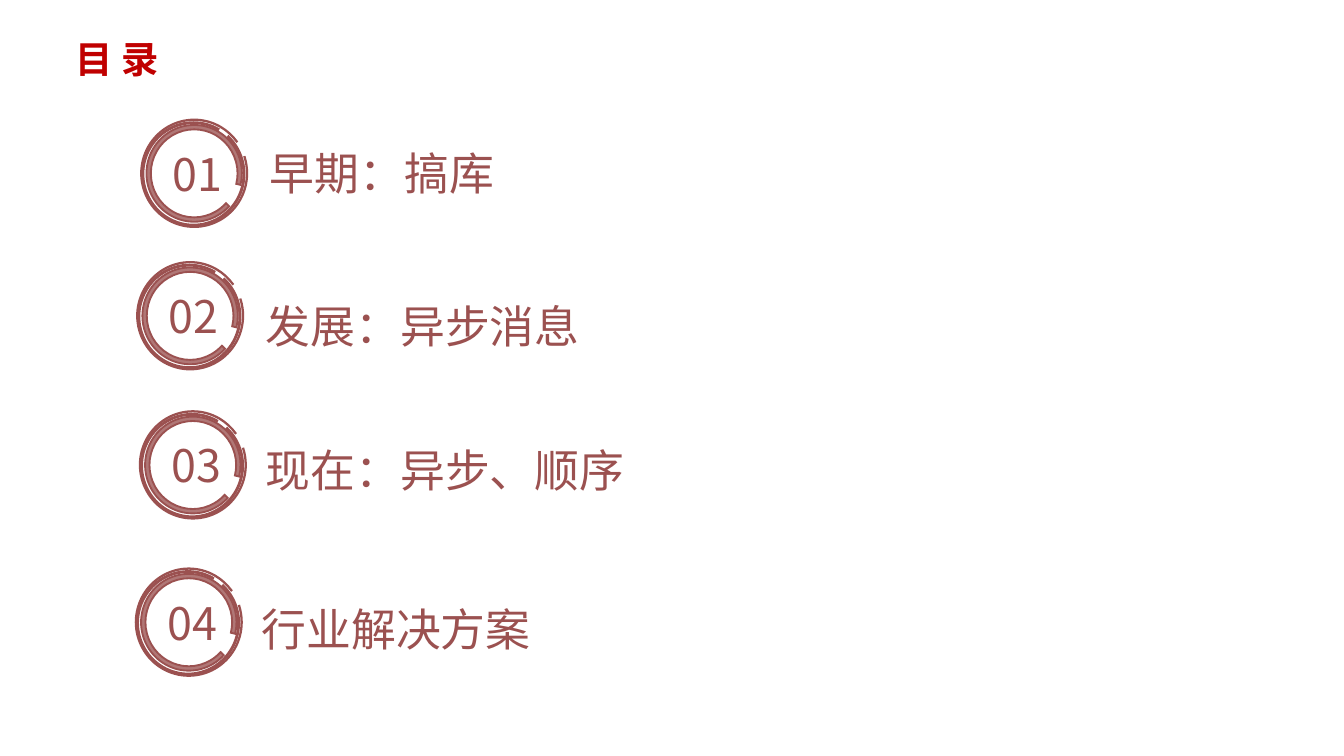
from lxml import etree
from pptx import Presentation
from pptx.dml.color import RGBColor
from pptx.enum.shapes import MSO_SHAPE
from pptx.enum.text import MSO_ANCHOR, MSO_AUTO_SIZE, PP_ALIGN
from pptx.oxml.ns import qn
from pptx.util import Inches, Pt

BLOCK_ARC = MSO_SHAPE.BLOCK_ARC
MIDDLE, TOP = MSO_ANCHOR.MIDDLE, MSO_ANCHOR.TOP
LEFT, CENTER = PP_ALIGN.LEFT, PP_ALIGN.CENTER
FIT_SHAPE = MSO_AUTO_SIZE.SHAPE_TO_FIT_TEXT

FONT = "Noto Sans CJK SC"
RED, BROWN, WHITE = "C00000", "9B5150", "FFFFFF"
PAGE_WIDTH = Inches(10)
PAGE_HEIGHT = PAGE_WIDTH * 9 // 16

TITLE = "目 录"
# number, badge left and top, label, label left, top and width
ENTRIES = [
    ("01", (1.05, 0.89), "早期：搞库", (1.91, 0.96, 4.93)),
    ("02", (1.02, 1.95), "发展：异步消息", (1.88, 2.10, 5.67)),
    ("03", (1.04, 3.06), "现在：异步、顺序", (1.88, 3.17, 5.67)),
    ("04", (1.01, 4.23), "行业解决方案", (1.85, 4.35, 5.67)),
]
LABEL_HEIGHT = 0.65

# Rings of one badge, inner to outer; "box" is relative to the badge corner
RINGS = [
    {"box": (0.04, 0.04, 0.71, 0.72), "arc": (25.936, 8.385, 0.046),
     "fill": BROWN, "alpha": 78, "flip": None},
    {"box": (0.01, 0.02, 0.76, 0.77), "arc": (144.491, 136.217, 0.01),
     "fill": WHITE, "alpha": 45, "flip": "flipH"},
    {"box": (0, 0, 0.79, 0.80), "arc": (22.02, 10.767, 0.004),
     "fill": WHITE, "alpha": 62, "flip": "flipV"},
]
NUMBER_BOX = (0.12, 0.15, 0.60, 0.50)


def color(value):
    return RGBColor.from_string(value)


def write(frame, text, size=24, fill=BROWN, bold=False, align=LEFT, anchor=MIDDLE, wrap=True):
    frame.word_wrap = wrap
    frame.vertical_anchor = anchor
    para = frame.paragraphs[0]
    para.alignment = align
    span = para.add_run()
    span.text = text
    span.font.size = Pt(size)
    span.font.bold = bold
    span.font.name = FONT
    span.font.color.rgb = color(fill)
    east_asian = etree.SubElement(span.font._element, qn("a:ea"))
    east_asian.set("typeface", FONT)
    return para


def add_ring(group, corner, ring):
    dx, dy, width, height = ring["box"]
    shape = group.shapes.add_shape(
        BLOCK_ARC, Inches(corner[0] + dx), Inches(corner[1] + dy), Inches(width), Inches(height))
    for index, value in enumerate(ring["arc"]):
        shape.adjustments[index] = value
    shape.shadow.inherit = False
    shape.fill.solid()
    shape.fill.fore_color.rgb = color(ring["fill"])
    fill_color = shape.element.spPr.find(qn("a:solidFill")).find(qn("a:srgbClr"))
    etree.SubElement(fill_color, qn("a:alpha")).set("val", str(ring["alpha"] * 1000))
    shape.line.color.rgb = color(BROWN)
    shape.line.width = Pt(1)
    outline = shape.element.spPr.find(qn("a:ln"))
    etree.SubElement(outline, qn("a:miter")).set("lim", "800000")
    if ring["flip"]:
        shape.element.spPr.find(qn("a:xfrm")).set(ring["flip"], "1")


def add_badge(page, corner, number):
    group = page.shapes.add_group_shape()
    for ring in RINGS:
        add_ring(group, corner, ring)
    dx, dy, width, height = NUMBER_BOX
    box = group.shapes.add_textbox(
        Inches(corner[0] + dx), Inches(corner[1] + dy), Inches(width), Inches(height))
    write(box.text_frame, number, align=CENTER, anchor=TOP, wrap=False)
    box.text_frame.auto_size = FIT_SHAPE


def main():
    deck = Presentation()
    deck.slide_width, deck.slide_height = PAGE_WIDTH, PAGE_HEIGHT
    page = deck.slides.add_slide(deck.slide_layouts[5])

    title = page.shapes.title
    title.left, title.top = Inches(0.47), Inches(0.32)
    title.width, title.height = Inches(8.62), Inches(0.28)
    frame = title.text_frame
    frame.margin_left = frame.margin_right = Inches(0.09)
    frame.margin_top = frame.margin_bottom = Inches(0.04)
    write(frame, TITLE, size=20, fill=RED, bold=True).line_spacing = 0.9

    for number, corner, label, (left, top, width) in ENTRIES:
        add_badge(page, corner, number)
        box = page.shapes.add_textbox(
            Inches(left), Inches(top), Inches(width), Inches(LABEL_HEIGHT))
        write(box.text_frame, label)

    deck.save("out.pptx")


if __name__ == "__main__":
    main()
